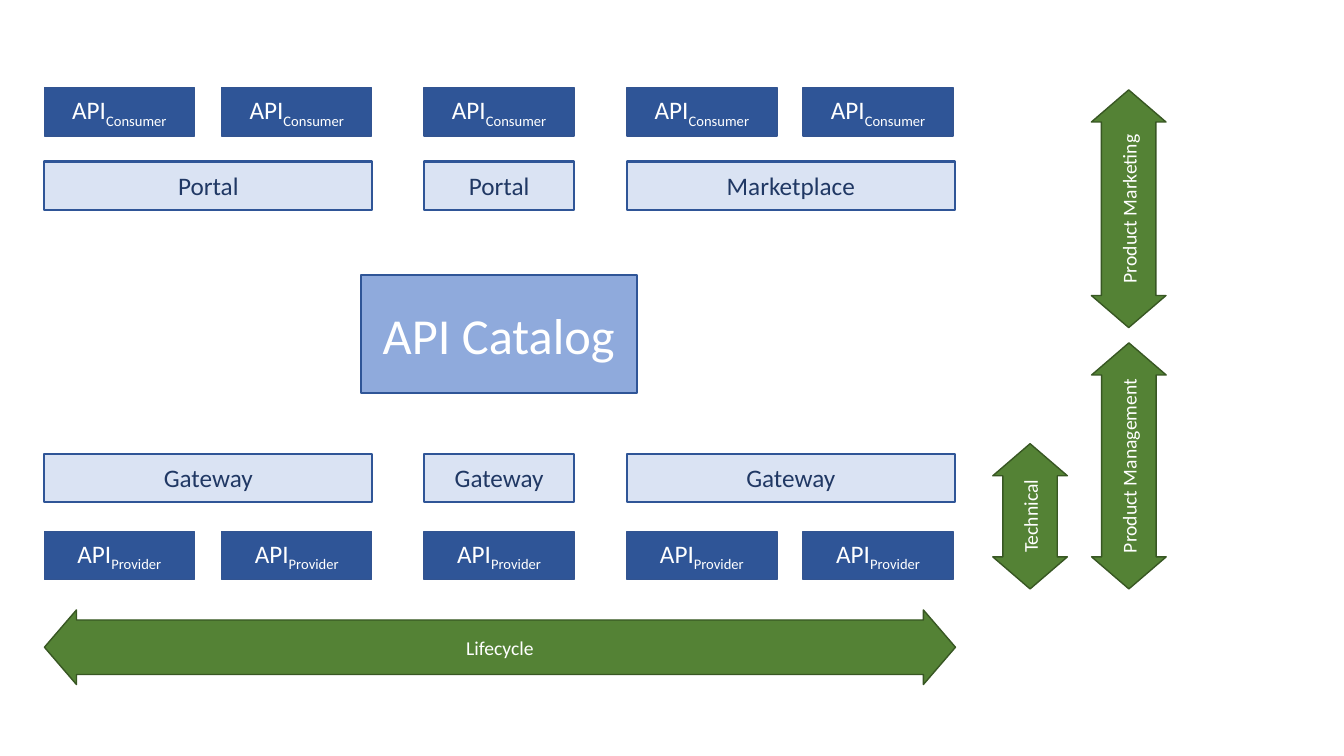
import pptx
import pptx.util
import pptx.dml.color
import pptx.enum.shapes
import pptx.enum.text

Cm = pptx.util.Cm
Pt = pptx.util.Pt
RGBColor = pptx.dml.color.RGBColor
KIND = pptx.enum.shapes.MSO_SHAPE

WHITE = RGBColor(0xFF, 0xFF, 0xFF)
NAVY = RGBColor(0x20, 0x38, 0x64)
BLUE = RGBColor(0x2F, 0x55, 0x97)
EDGE = RGBColor(0x32, 0x54, 0x91)
SKY = RGBColor(0x8F, 0xAA, 0xDC)
PALE = RGBColor(0xDA, 0xE3, 0xF3)
GREEN = RGBColor(0x54, 0x82, 0x35)
MOSS = RGBColor(0x38, 0x57, 0x23)

# fill, line colour, line width, font
API = (BLUE, EDGE, 1, {"size": Pt(18), "name": "Calibri"}, WHITE)
LAYER = (PALE, BLUE, 1.5, {"size": Pt(18), "name": "Calibri"}, NAVY)
CORE = (SKY, BLUE, 1.5, {"size": Pt(36), "name": "Calibri"}, WHITE)
ARROW = (GREEN, MOSS, 1, {"size": Pt(14), "name": "Calibri"}, WHITE)

deck = pptx.Presentation()
deck.slide_width, deck.slide_height = Cm(33.87), Cm(19.05)
slide = deck.slides.add_slide(deck.slide_layouts[6])


def add(kind, area, style, text, sub=""):
    """Draw a labelled shape; sub is set as a subscript after the text."""
    fill, edge, width, font, ink = style
    shape = slide.shapes.add_shape(kind, *(Cm(n) for n in area))
    shape.shadow.inherit = False
    shape.fill.solid()
    shape.fill.fore_color.rgb = fill
    shape.line.color.rgb = edge
    shape.line.width = Pt(width)
    frame = shape.text_frame
    frame.vertical_anchor = pptx.enum.text.MSO_ANCHOR.MIDDLE
    para = frame.paragraphs[0]
    para.alignment = pptx.enum.text.PP_ALIGN.CENTER
    for part in filter(None, (text, sub)):
        run = para.add_run()
        run.text = part
        run.font.color.rgb = ink
        for name, value in font.items():
            setattr(run.font, name, value)
    if sub:
        run.font._element.set("baseline", "-25000")
    return shape


# API boxes along the top and bottom
HIGH = 1.22
SLIM, WIDE = 3.78, 8.26
for top, role in ((2.21, "Consumer"), (13.39, "Provider")):
    for left in (1.12, 5.59, 10.69, 15.8, 20.24):
        add(KIND.RECTANGLE, (left, top, SLIM, HIGH), API, "API", role)

# Access layers next to them
spans = ((1.12, WIDE), (10.69, SLIM), (15.8, WIDE))
layers = (
    (4.07, ("Portal", "Portal", "Marketplace")),
    (11.43, ("Gateway", "Gateway", "Gateway")),
)
for top, names in layers:
    for (left, width), name in zip(spans, names):
        add(KIND.RECTANGLE, (left, top, width, HIGH), LAYER, name)

add(KIND.RECTANGLE, (9.09, 6.93, 6.96, 2.97), CORE, "API Catalog")

# Scope arrows: left, top, length, turn
arrows = (
    ("Technical", 24.13, 12.07, 3.66, 270),
    ("Product Management", 25.35, 10.8, 6.2, 270),
    ("Product Marketing", 25.45, 4.32, 5.99, 270),
    ("Lifecycle", 1.12, 15.37, 22.96, 0),
)
for name, left, top, length, turn in arrows:
    arrow = add(KIND.LEFT_RIGHT_ARROW, (left, top, length, 1.88), ARROW, name)
    arrow.adjustments[0] = 0.73
    arrow.adjustments[1] = 0.43
    arrow.rotation = turn

deck.save("out.pptx")
